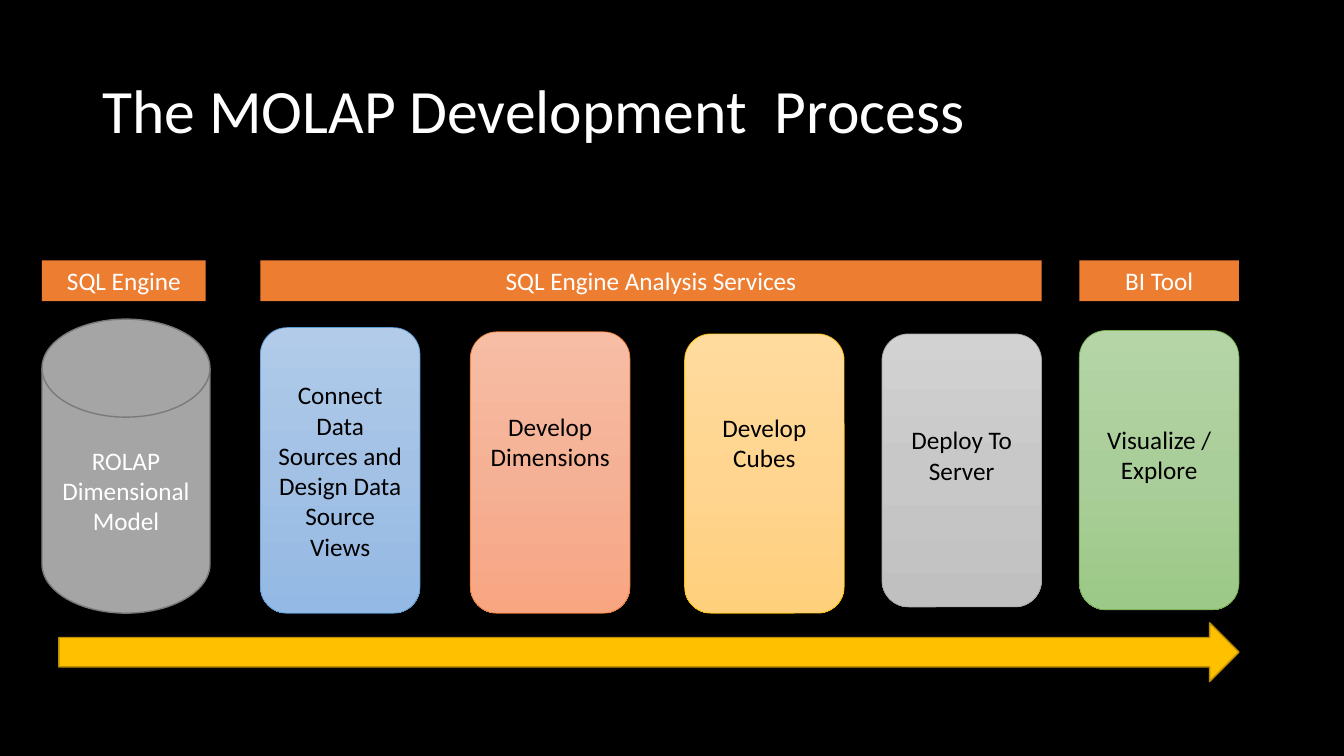
from copy import deepcopy

from pptx import Presentation
from pptx.dml.color import RGBColor
from pptx.enum.shapes import MSO_SHAPE as Shape
from pptx.enum.text import MSO_ANCHOR as Anchor, PP_ALIGN as Align
from pptx.oxml.ns import qn
from pptx.util import Inches, Pt

# The slide is a grid of 320 columns by 180 rows
CELL = Inches(1) / 24
COLUMNS, ROWS = 320, 180
FONT = "Calibri"
TEXT_LINE = Pt(22)
STEP_WIDTH = 38

# Header: left column, width, wording
HEADERS = [
    (10, 39, "SQL Engine"),
    (62, 186, "SQL Engine Analysis Services"),
    (257, STEP_WIDTH, "BI Tool"),
]

# Step: left column, top row, height, wording, text lines kept free below,
# gradient from top to bottom, outline
STEPS = [
    (62, 78, 68, "Connect Data Sources and Design Data Source Views", 0,
     ("B1CBE9", "A3C1E5", "93B9E4"), "5B9BD5"),
    (112, 79, 67, "Develop\nDimensions", 2,
     ("F7BDA5", "F5B196", "F8A582"), "ED7D31"),
    (163, 79.5, 66.5, "Develop\nCubes", 2,
     ("FFDB9E", "FFD590", "FFD07C"), "FFC000"),
    (210, 79.5, 65, "Deploy To Server", 1,
     ("D2D2D2", "C8C8C8", "C0C0C0"), "A5A5A5"),
    (257, 78.7, 66.5, "Visualize / Explore", 1,
     ("B5D5A7", "AACE9A", "9CC987"), "70AD47"),
]


def color(hex_code):
    return RGBColor.from_string(hex_code)


def place(box):
    return [round(length * CELL) for length in box]


def write(shape, wording, hex_code, size=18, align=Align.CENTER):
    frame = shape.text_frame
    frame.word_wrap = True
    frame.vertical_anchor = Anchor.MIDDLE
    frame.text = wording
    for paragraph in frame.paragraphs:
        paragraph.alignment = align
        paragraph.font.name = FONT
        paragraph.font.size = Pt(size)
        paragraph.font.color.rgb = color(hex_code)
    return frame


def fill_gradient(shape, hex_codes):
    shape.fill.gradient()
    shape.fill.gradient_angle = 270
    stop_list = shape.fill._xPr.find(qn("a:gradFill")).find(qn("a:gsLst"))
    stop_list.insert(1, deepcopy(stop_list[0]))
    for index, (stop, hex_code) in enumerate(
            zip(shape.fill.gradient_stops, hex_codes)):
        stop.position = index / (len(hex_codes) - 1)
        stop.color.rgb = color(hex_code)


def add_block(slide, kind, box, fill, outline=None, weight=1):
    block = slide.shapes.add_shape(kind, *place(box))
    block.shadow.inherit = False
    if isinstance(fill, tuple):
        fill_gradient(block, fill)
    else:
        block.fill.solid()
        block.fill.fore_color.rgb = color(fill)
    if outline:
        block.line.color.rgb = color(outline)
        block.line.width = Pt(weight)
    else:
        block.line.fill.background()
    return block


def add_title(slide, box):
    title = slide.shapes.add_textbox(*place(box))
    frame = write(title, "The MOLAP Development  Process", "FFFFFF", 44, Align.LEFT)
    frame.paragraphs[0].line_spacing = 0.9


def add_source(slide, box):
    source = add_block(slide, Shape.FLOWCHART_MAGNETIC_DISK, box, "A5A5A5", "7A7A7A")
    write(source, "ROLAP\vDimensional Model", "FFFFFF")


def add_headers(slide, top, height):
    for left, width, wording in HEADERS:
        header = add_block(slide, Shape.RECTANGLE, (left, top, width, height), "ED7D31")
        write(header, wording, "FFFFFF")


def add_steps(slide):
    for left, top, height, wording, free_lines, gradient, outline in STEPS:
        step = add_block(slide, Shape.ROUNDED_RECTANGLE,
                         (left, top, STEP_WIDTH, height), gradient, outline, 0.5)
        frame = write(step, wording, "000000")
        frame.margin_bottom += free_lines * TEXT_LINE


def add_flow_arrow(slide, box):
    add_block(slide, Shape.RIGHT_ARROW, box, "FFC000", "BD8E00")


def main():
    deck = Presentation()
    deck.slide_width, deck.slide_height = place((COLUMNS, ROWS))
    slide = deck.slides.add_slide(deck.slide_layouts[6])
    slide.background.fill.solid()
    slide.background.fill.fore_color.rgb = color("000000")

    add_title(slide, (22, 9.6, 276, 34.8))
    add_source(slide, (10, 76, 40, 70))
    add_headers(slide, 62, 9.7)
    add_steps(slide)
    add_flow_arrow(slide, (14, 148.3, 281, 14))
    deck.save("out.pptx")


if __name__ == "__main__":
    main()
